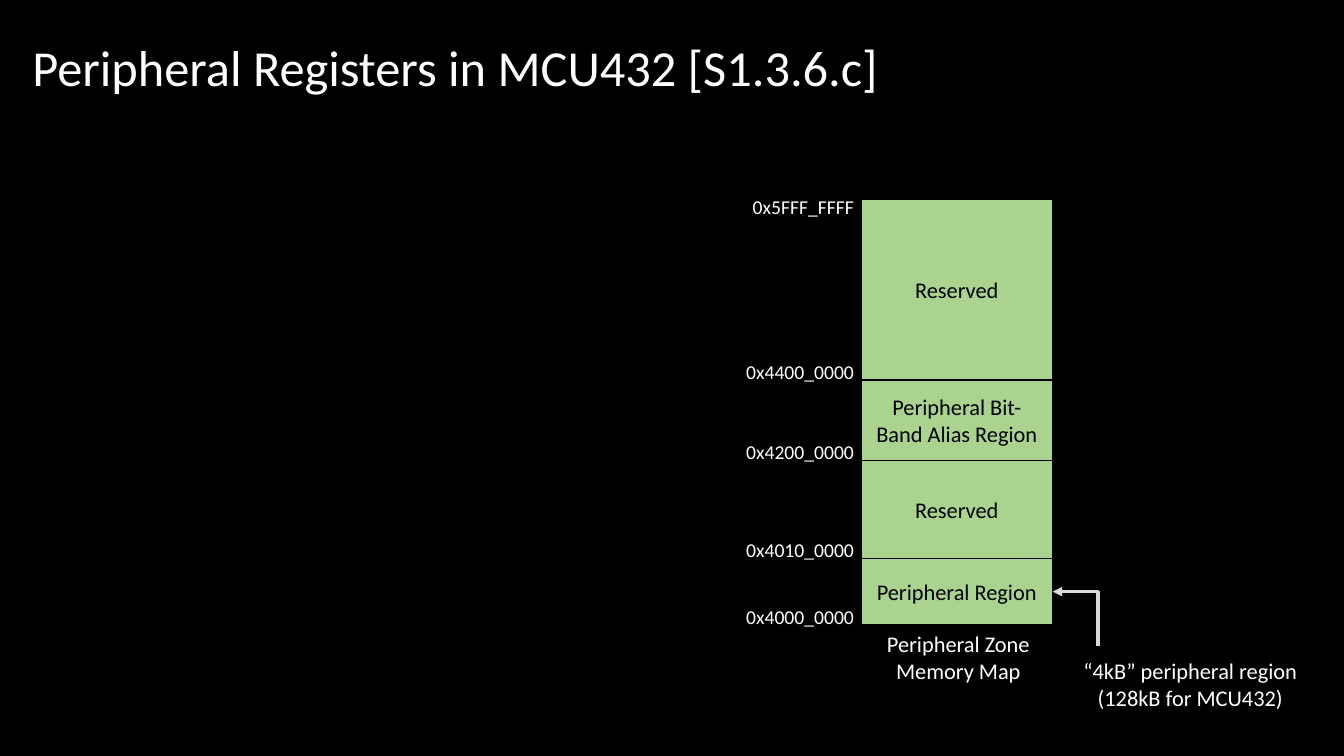
from lxml import etree
from pptx import Presentation
from pptx.dml.color import RGBColor
from pptx.enum.shapes import MSO_CONNECTOR, MSO_SHAPE
from pptx.enum.text import MSO_ANCHOR, MSO_AUTO_SIZE, PP_ALIGN
from pptx.oxml.ns import qn
from pptx.util import Inches, Pt

# Content
TITLE = "Peripheral Registers in MCU432 [S1.3.6.c]"
TOP_ADDRESS = "0x5FFF_FFFF"
# Regions from top to bottom: name, height, start address (at the lower edge)
REGIONS = [
    ("Reserved", 1.79, "0x4400_0000"),
    ("Peripheral Bit-Band Alias Region", 0.8, "0x4200_0000"),
    ("Reserved", 0.97, "0x4010_0000"),
    ("Peripheral Region", 0.66, "0x4000_0000"),
]
MAP_CAPTION = ["Peripheral Zone", "Memory Map"]
REGION_NOTE = ["“4kB” peripheral region", "(128kB for MCU432)"]

# Layout in inches
MAP_LEFT, MAP_TOP, MAP_WIDTH = 8.54, 1.98, 1.9
ADDRESS_LEFT, ADDRESS_WIDTH, ADDRESS_HEIGHT = 7.28, 1.29, 0.34
ADDRESS_RISE = 0.25
ARROW_X, ARROW_BOTTOM = 10.89, 6.41

BLACK, WHITE, GREEN, GRAY = "000000", "FFFFFF", "A9D38E", "D9D9D9"


def color(value):
    return RGBColor.from_string(value)


def style_box(shape, fill):
    shape.shadow.inherit = False
    shape.fill.solid()
    shape.fill.fore_color.rgb = color(fill)
    shape.line.color.rgb = color(BLACK)
    shape.line.width = Pt(1)


def write(frame, lines, size, text_color, alignment):
    for index, line in enumerate(lines):
        paragraph = frame.add_paragraph() if index else frame.paragraphs[0]
        paragraph.alignment = alignment
        run = paragraph.add_run()
        run.text = line
        run.font.name = "Calibri"
        run.font.size = Pt(size)
        run.font.color.rgb = color(text_color)


def add_label(slide, left, top, width, height, lines, size, alignment):
    box = slide.shapes.add_textbox(Inches(left), Inches(top), Inches(width), Inches(height))
    box.text_frame.word_wrap = False
    box.text_frame.auto_size = MSO_AUTO_SIZE.SHAPE_TO_FIT_TEXT
    write(box.text_frame, lines, size, WHITE, alignment)


def add_address(slide, top, address):
    add_label(slide, ADDRESS_LEFT, top, ADDRESS_WIDTH, ADDRESS_HEIGHT,
              [address], 14, PP_ALIGN.RIGHT)


def add_region(slide, top, height, name):
    region = slide.shapes.add_shape(MSO_SHAPE.RECTANGLE, Inches(MAP_LEFT), Inches(top),
                                    Inches(MAP_WIDTH), Inches(height))
    style_box(region, GREEN)
    region.text_frame.word_wrap = True
    region.text_frame.vertical_anchor = MSO_ANCHOR.MIDDLE
    write(region.text_frame, [name], 16, BLACK, PP_ALIGN.CENTER)


def add_corner_arrow(slide, start_x, start_y, end_x, end_y):
    """Go straight up from the start, then left to the end."""
    rise, run = start_y - end_y, start_x - end_x
    middle_x, middle_y = (start_x + end_x) / 2, (start_y + end_y) / 2
    # Laid out unrotated around its centre, then turned a quarter to the left
    arrow = slide.shapes.add_connector(
        MSO_CONNECTOR.ELBOW,
        Inches(middle_x - rise / 2), Inches(middle_y + run / 2),
        Inches(middle_x + rise / 2), Inches(middle_y - run / 2))
    arrow.line.color.rgb = color(GRAY)
    arrow.line.width = Pt(2.25)
    properties = arrow.element.spPr
    properties.find(qn("a:xfrm")).set("rot", str(270 * 60000))
    properties.find(qn("a:prstGeom")).set("prst", "bentConnector2")
    etree.SubElement(properties.find(qn("a:ln")), qn("a:tailEnd"), type="triangle")
    etree.SubElement(properties, qn("a:effectLst"))


def main():
    presentation = Presentation()
    presentation.slide_width, presentation.slide_height = Inches(13.33), Inches(7.5)
    slide = presentation.slides.add_slide(presentation.slide_layouts[5])
    slide.background.fill.solid()
    slide.background.fill.fore_color.rgb = color(BLACK)

    # Title
    title = slide.shapes.title
    title.left, title.top = Inches(0.22), Inches(0.21)
    title.width, title.height = Inches(12.89), Inches(0.97)
    style_box(title, BLACK)
    title.text_frame.vertical_anchor = MSO_ANCHOR.MIDDLE
    write(title.text_frame, [TITLE], 36, WHITE, PP_ALIGN.LEFT)
    title.text_frame.paragraphs[0].line_spacing = 0.9

    # Memory map with its addresses
    add_address(slide, MAP_TOP - 0.1, TOP_ADDRESS)
    bottom = MAP_TOP
    for name, height, address in REGIONS:
        add_region(slide, bottom, height, name)
        bottom += height
        add_address(slide, bottom - ADDRESS_RISE, address)

    # Caption, note and arrow to the lowest region
    add_label(slide, 8.66, bottom, 1.69, 0.64, MAP_CAPTION, 16, PP_ALIGN.CENTER)
    add_label(slide, 10.63, 6.47, 2.35, 0.64, REGION_NOTE, 16, PP_ALIGN.CENTER)
    lowest_middle = bottom - REGIONS[-1][1] / 2
    add_corner_arrow(slide, ARROW_X, ARROW_BOTTOM, MAP_LEFT + MAP_WIDTH, lowest_middle)

    presentation.save("out.pptx")


if __name__ == "__main__":
    main()
